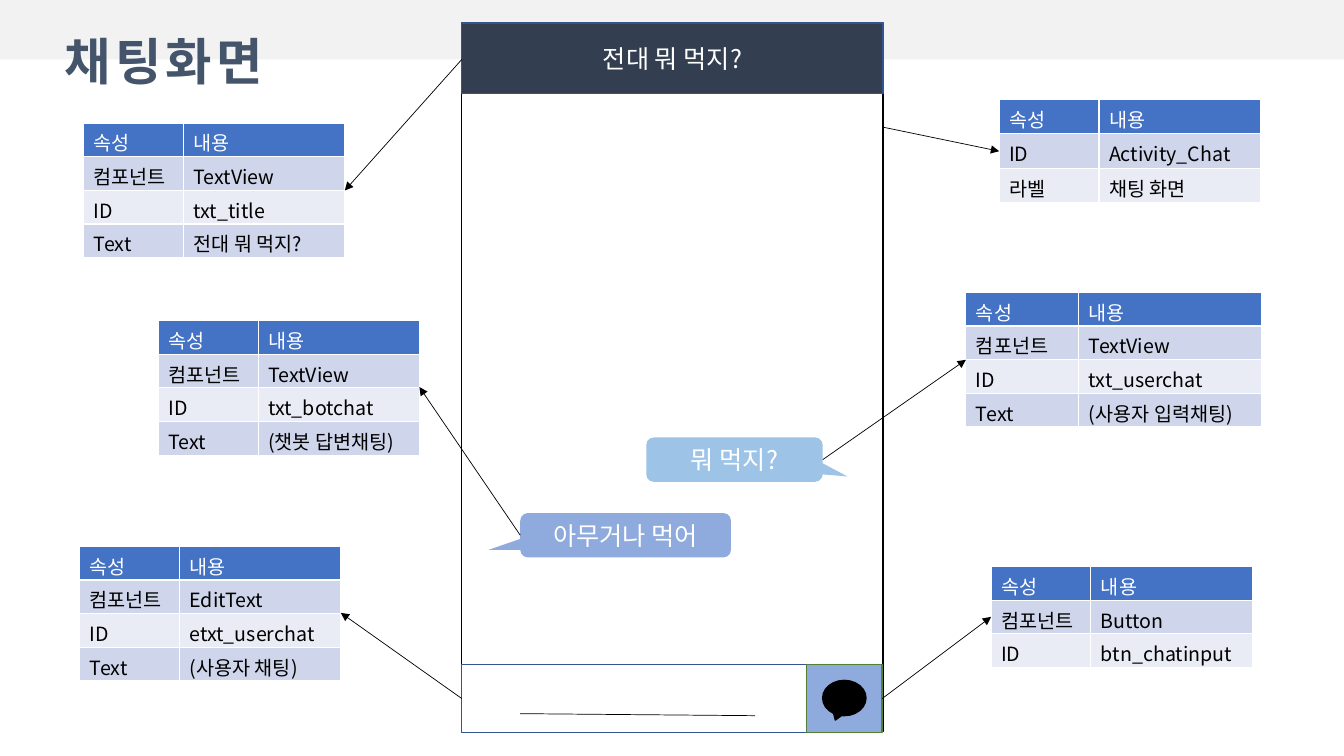
from lxml import etree
from pptx import Presentation
from pptx.dml.color import RGBColor
from pptx.enum.shapes import MSO_CONNECTOR, MSO_SHAPE
from pptx.enum.text import MSO_ANCHOR, PP_ALIGN
from pptx.oxml.ns import qn
from pptx.util import Inches, Pt

RECT = MSO_SHAPE.RECTANGLE
BUBBLE = MSO_SHAPE.ROUNDED_RECTANGULAR_CALLOUT
SPEECH = MSO_SHAPE.OVAL_CALLOUT
STRAIGHT = MSO_CONNECTOR.STRAIGHT
LEFT, CENTER = PP_ALIGN.LEFT, PP_ALIGN.CENTER
MIDDLE = MSO_ANCHOR.MIDDLE

THEME = {
    "font": "Noto Sans CJK KR",
    "band": RGBColor.from_string("F2F2F2"),
    "title": RGBColor.from_string("44546A"),
    "white": RGBColor.from_string("FFFFFF"),
    "black": RGBColor.from_string("000000"),
    "bar": RGBColor.from_string("333F50"),
    "bar_edge": RGBColor.from_string("325491"),
    "send": RGBColor.from_string("8FAADC"),
    "send_edge": RGBColor.from_string("538035"),
    "user": RGBColor.from_string("9DC3E6"),
    "header": RGBColor.from_string("4472C4"),
    "odd": RGBColor.from_string("CFD5EA"),
    "even": RGBColor.from_string("E9EBF5"),
    "title_size": Pt(36),
    "screen_size": Pt(18),
    "table_size": Pt(14),
}


def write(frame, text, size, color, bold=False, align=LEFT):
    paragraph = frame.paragraphs[0]
    paragraph.alignment = align
    run = paragraph.add_run()
    run.text = text
    looks = {"name": THEME["font"], "size": THEME[size], "bold": bold}
    for attribute, value in looks.items():
        setattr(run.font, attribute, value)
    run.font.color.rgb = THEME[color]
    properties = run._r.get_or_add_rPr()
    etree.SubElement(properties, qn("a:ea"), typeface=THEME["font"])
    return properties


def draw(kind, left, top, width, height, fill, edge=None, text=None, adjust=()):
    part = slide.shapes.add_shape(
        kind, Inches(left), Inches(top), Inches(width), Inches(height))
    part.shadow.inherit = False
    part.fill.solid()
    part.fill.fore_color.rgb = THEME[fill]
    if edge:
        part.line.color.rgb = THEME[edge]
        part.line.width = Pt(1)
    else:
        part.line.fill.background()
    for index, value in enumerate(adjust):
        part.adjustments[index] = value
    if text:
        part.text_frame.vertical_anchor = MIDDLE
        write(part.text_frame, text, "screen_size", "white", align=CENTER)
    return part


deck = Presentation()
deck.slide_width, deck.slide_height = Inches(13.33), Inches(7.5)
slide = deck.slides.add_slide(deck.slide_layouts[5])

band = draw(RECT, 0, 0, 13.33, 0.59, "band")
slide.shapes._spTree.insert(2, band._element)

heading = slide.shapes.title
place = {"left": 0.54, "top": 0.24, "width": 2.39, "height": 0.71}
for attribute, value in place.items():
    setattr(heading, attribute, Inches(value))
heading.text_frame.word_wrap = False
heading.text_frame.vertical_anchor = MIDDLE
write(heading.text_frame, "채팅화면", "title_size", "title", bold=True).set("spc", "300")

screen_parts = [
    (RECT, 4.58, 0.23, 4.18, 7.03, "white", "black"),
    (RECT, 4.58, 0.23, 4.18, 0.7, "bar", "bar_edge", "전대 뭐 먹지?"),
    (RECT, 4.58, 6.59, 3.42, 0.68, "white", "bar_edge"),
    (RECT, 8, 6.59, 0.75, 0.68, "send", "send_edge"),
    (SPEECH, 8.16, 6.75, 0.43, 0.35, "black", "black"),
    (BUBBLE, 6.41, 4.34, 1.75, 0.44, "user", None, "뭐 먹지?", (0.64, 0.38, 0.17)),
    (BUBBLE, 5.16, 5.09, 2.09, 0.44, "send", None, "아무거나 먹어", (-0.65, 0.33, 0.17)),
]
for screen_part in screen_parts:
    draw(*screen_part)

NARROW, WIDE = (0.99, 1.6), (1.12, 1.81)
component_specs = [
    (0.83, 1.22, NARROW,
     [("컴포넌트", "TextView"), ("ID", "txt_title"), ("Text", "전대 뭐 먹지?")]),
    (9.91, 0.99, NARROW, [("ID", "Activity_Chat"), ("라벨", "채팅 화면")]),
    (9.58, 2.9, WIDE,
     [("컴포넌트", "TextView"), ("ID", "txt_userchat"), ("Text", "(사용자 입력채팅)")]),
    (1.57, 3.18, NARROW,
     [("컴포넌트", "TextView"), ("ID", "txt_botchat"), ("Text", "(챗봇 답변채팅)")]),
    (0.79, 5.42, NARROW,
     [("컴포넌트", "EditText"), ("ID", "etxt_userchat"), ("Text", "(사용자 채팅)")]),
    (9.83, 5.62, NARROW, [("컴포넌트", "Button"), ("ID", "btn_chatinput")]),
]
for left, top, widths, attributes in component_specs:
    rows = [("속성", "내용")] + attributes
    spec = slide.shapes.add_table(
        len(rows), 2, Inches(left), Inches(top),
        Inches(sum(widths)), Inches(0.33 * len(rows))).table
    for column, width in zip(spec.columns, widths):
        column.width = Inches(width)
    for r, row in enumerate(rows):
        spec.rows[r].height = Inches(0.35 if "Activity_Chat" in row else 0.33)
        fill = "header" if r == 0 else "odd" if r % 2 else "even"
        for c, text in enumerate(row):
            cell = spec.cell(r, c)
            cell.margin_bottom = 0
            cell.fill.solid()
            cell.fill.fore_color.rgb = THEME[fill]
            write(cell.text_frame, text, "table_size", "black" if r else "white")

input_line = (5.16, 7.08, 7.49, 7.1)
arrows = [
    (8.75, 1.26, 9.91, 1.5),
    (8.16, 4.56, 9.58, 3.57),
    (8.75, 6.93, 9.83, 6.12),
    (4.58, 0.59, 3.42, 1.89),
    (5.16, 5.31, 4.16, 3.84),
    (4.58, 6.93, 3.38, 6.08),
]
for ends in [input_line] + arrows:
    link = slide.shapes.add_connector(STRAIGHT, *map(Inches, ends))
    link.line.color.rgb = THEME["black"]
    link.line.width = Pt(0.5)
    if ends in arrows:
        etree.SubElement(link.line._get_or_add_ln(), qn("a:tailEnd"), type="triangle")
    etree.SubElement(link._element.spPr, qn("a:effectLst"))

deck.save("out.pptx")
